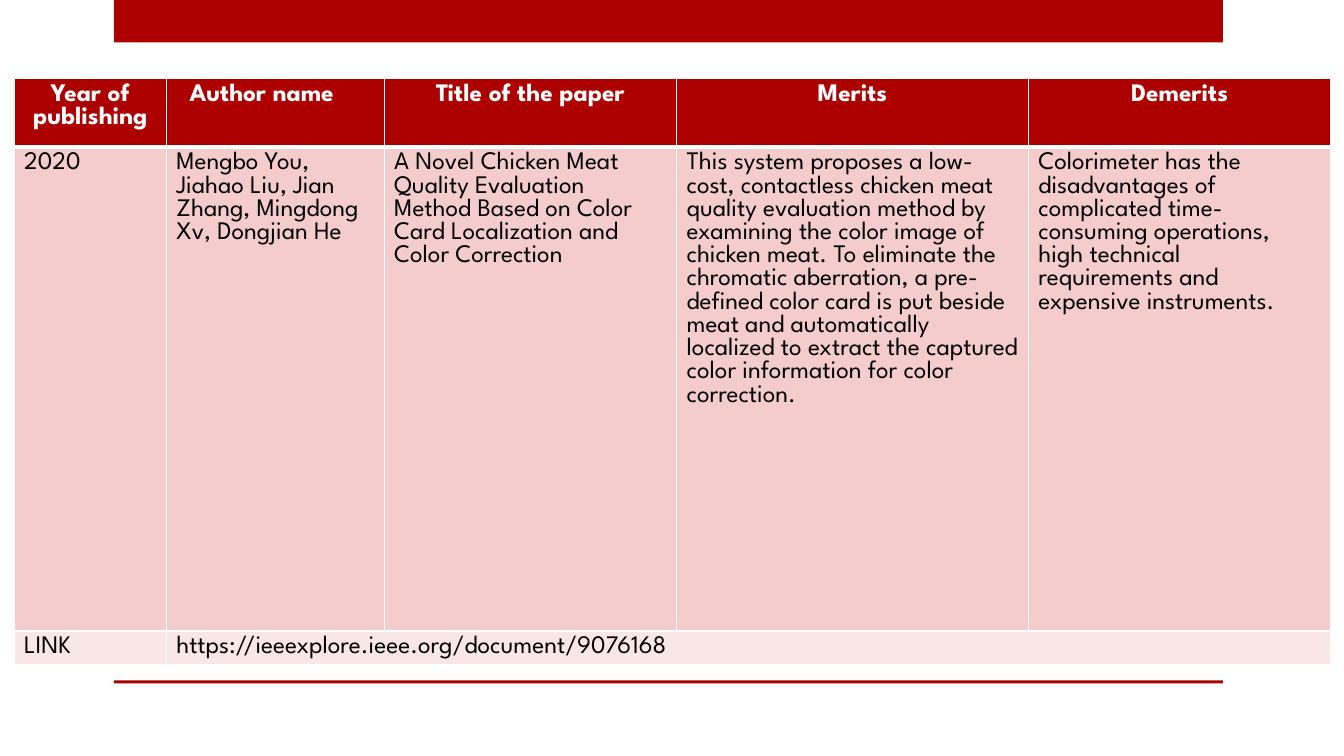
from pptx import Presentation, util as u
from pptx.dml.color import RGBColor
from pptx.enum import shapes, text
from pptx.oxml import parse_xml
from pptx.oxml.ns import nsdecls

RED = RGBColor(0xAD, 0x01, 0x01)
PINK = RGBColor(0xF3, 0xCC, 0xCB)
PALE = RGBColor(0xF9, 0xE7, 0xE7)
WHITE = RGBColor(0xFF, 0xFF, 0xFF)
BLACK = RGBColor(0, 0, 0)
FONT = "League Spartan"

COLUMNS = [1.51, 2.16, 2.9, 3.49, 3]
ROWS = [0.68, 4.8, 0.29]
HEADER = ["Year of publishing", "Author name", "Title of the paper", "Merits", "Demerits"]
PAPER = [
    "2020",
    "Mengbo You, Jiahao Liu, Jian Zhang, Mingdong Xv, Dongjian He",
    "A Novel Chicken Meat Quality Evaluation Method Based on Color Card "
    "Localization and Color Correction",
    "This system proposes a low-cost, contactless chicken meat quality evaluation "
    "method by examining the color image of chicken meat. To eliminate the chromatic "
    "aberration, a pre-defined color card is put beside meat and automatically "
    "localized to extract the captured color information for color correction.",
    "Colorimeter has the disadvantages of complicated time-consuming operations, "
    "high technical requirements and expensive instruments.",
]
LINK = ["LINK", "https://ieeexplore.ieee.org/document/9076168"]


def add_bar(s, left, top, width, height):
    sp = s.shapes.add_shape(shapes.MSO_SHAPE.RECTANGLE, *map(u.Inches, (left, top, width, height)))
    sp.shadow.inherit = False
    sp.fill.solid()
    sp.fill.fore_color.rgb = RED
    sp.line.fill.background()


def set_borders(cell, bottom, top):
    tcPr = cell._tc.get_or_add_tcPr()
    widths = {"lnL": 1, "lnR": 1, "lnT": top, "lnB": bottom}
    for i, (side, width) in enumerate(widths.items()):
        tcPr.insert(i, parse_xml(
            f'<a:{side} {nsdecls("a")} w="{u.Pt(width)}"><a:solidFill>'
            f'<a:srgbClr val="{WHITE}"/></a:solidFill></a:{side}>'))


def fill_cell(cell, words, fill, header):
    cell.fill.solid()
    cell.fill.fore_color.rgb = fill
    cell.margin_left = cell.margin_right = u.Inches(0.1)
    cell.margin_top = cell.margin_bottom = u.Inches(0.05)
    p = cell.text_frame.paragraphs[0]
    p.text = words
    p.alignment = text.PP_ALIGN.CENTER if header else text.PP_ALIGN.LEFT
    p.font.name, p.font.size, p.font.bold = FONT, u.Pt(18), header
    p.font.color.rgb = WHITE if header else BLACK


def add_paper_table(s, left, top, width, height):
    frame = s.shapes.add_table(len(ROWS), len(COLUMNS), *map(u.Inches, (left, top, width, height)))
    table = frame.table
    for column, size in zip(table.columns, COLUMNS):
        column.width = u.Inches(size)
    for row, size in zip(table.rows, ROWS):
        row.height = u.Inches(size)
    # The link runs under all the columns after the first
    table.cell(2, 1).merge(table.cell(2, 4))
    bands = [(HEADER, RED), (PAPER, PINK), (LINK, PALE)]
    for r, (entries, fill) in enumerate(bands):
        for c, words in enumerate(entries):
            fill_cell(table.cell(r, c), words, fill, r == 0)
        for c in range(len(COLUMNS)):
            set_borders(table.cell(r, c), bottom=3 if r == 0 else 1, top=3 if r == 1 else 1)
    # The author heading sits a little left of centre
    table.cell(0, 1).margin_right = u.Inches(0.37)


def add_survey_slide(prs):
    s = prs.slides.add_slide(prs.slide_layouts[6])
    # Top band and bottom rule
    add_bar(s, 1.13, 0, 11, 0.42)
    add_bar(s, 1.13, 6.75, 11, 0.03)
    # Literature survey
    add_paper_table(s, 0.14, 0.78, sum(COLUMNS), sum(ROWS))


def main():
    prs = Presentation()
    prs.slide_width, prs.slide_height = u.Inches(13.33), u.Inches(7.5)
    add_survey_slide(prs)
    prs.save("out.pptx")


if __name__ == "__main__":
    main()
